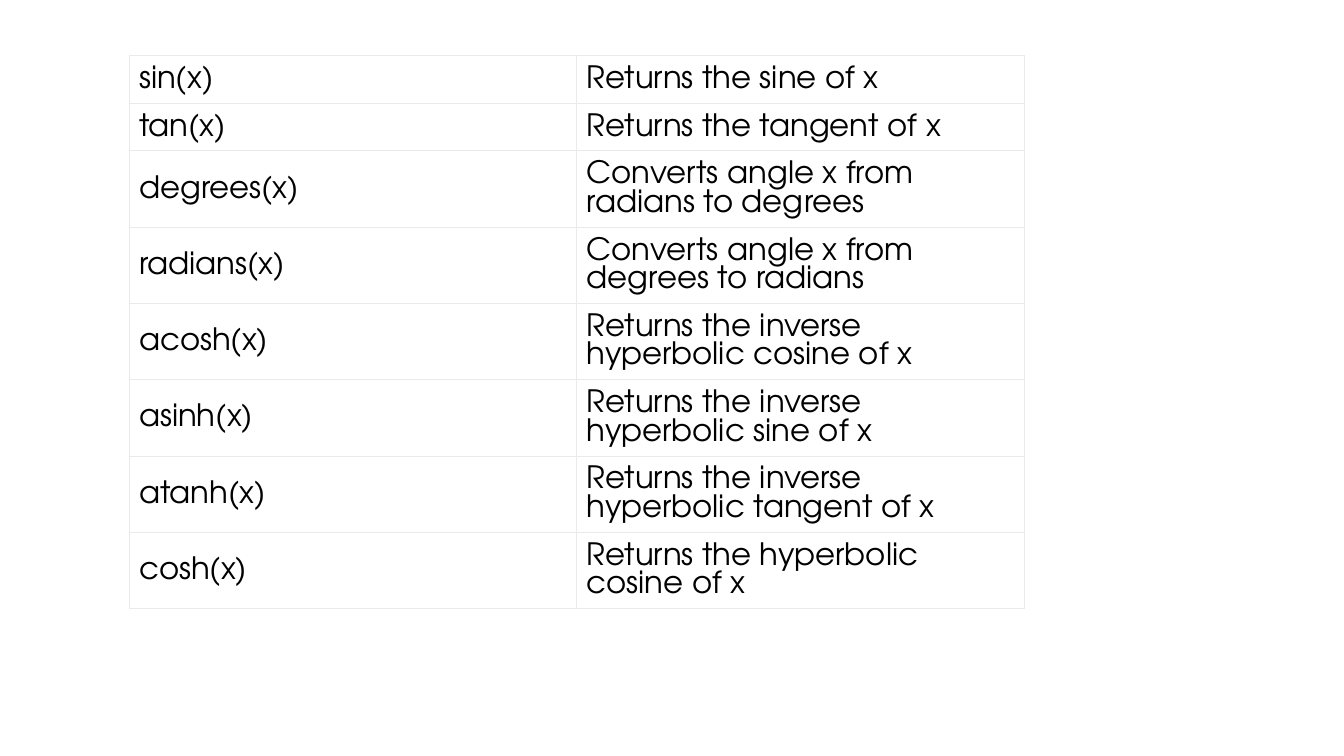
from lxml import etree
from pptx import Presentation, util as u
from pptx.dml.color import RGBColor
from pptx.enum import text
from pptx.oxml.ns import qn

COLORS = {"ink": "000000", "paper": "FFFFFF", "rule": "EAEAEC"}
FONT = "TeX Gyre Adventor"

# Each function, its description and the number of lines it takes
FUNCTIONS = [
    ("sin(x)", "Returns the sine of x", 1),
    ("tan(x)", "Returns the tangent of x", 1),
    ("degrees(x)", "Converts angle x from radians to degrees", 2),
    ("radians(x)", "Converts angle x from degrees to radians", 2),
    ("acosh(x)", "Returns the inverse hyperbolic cosine of x", 2),
    ("asinh(x)", "Returns the inverse hyperbolic sine of x", 2),
    ("atanh(x)", "Returns the inverse hyperbolic tangent of x", 2),
    ("cosh(x)", "Returns the hyperbolic cosine of x", 2),
]
COLUMN = u.Inches(4.44)
LINE = u.Inches(0.28)
PADDING = u.Inches(0.19)


def add_border(cell, side):
    line = etree.SubElement(cell._tc.get_or_add_tcPr(), qn(f"a:{side}"), w=str(u.Pt(0.75)))
    fill = etree.SubElement(line, qn("a:solidFill"))
    etree.SubElement(fill, qn("a:srgbClr"), val=COLORS["rule"])


prs = Presentation()
prs.slide_width, prs.slide_height = u.Inches(13.33), u.Inches(7.5)
slide = prs.slides.add_slide(prs.slide_layouts[6])

# Table frame
heights = [PADDING + lines * LINE for _, _, lines in FUNCTIONS]
reference = slide.shapes.add_table(len(FUNCTIONS), 2, u.Inches(1.28), u.Inches(0.55),
                                   2 * COLUMN, sum(heights)).table
reference.first_row = reference.horz_banding = False
for column in reference.columns:
    column.width = COLUMN

# Table rows
for row, height, (name, description, _) in zip(reference.rows, heights, FUNCTIONS):
    row.height = height
    for cell, wording in zip(row.cells, (name, description)):
        # Borders come before the fill in the cell's properties
        for side in ("lnL", "lnR", "lnT", "lnB"):
            add_border(cell, side)
        cell.fill.solid()
        cell.fill.fore_color.rgb = RGBColor.from_string(COLORS["paper"])
        cell.vertical_anchor = text.MSO_ANCHOR.MIDDLE
        cell.margin_left = cell.margin_top = u.Inches(0.1)
        cell.margin_right, cell.margin_bottom = u.Inches(0.08), u.Inches(0.09)
        run = cell.text_frame.paragraphs[0].add_run()
        run.text = wording
        run.font.name, run.font.size = FONT, u.Pt(22)
        run.font.color.rgb = RGBColor.from_string(COLORS["ink"])

prs.save("out.pptx")
